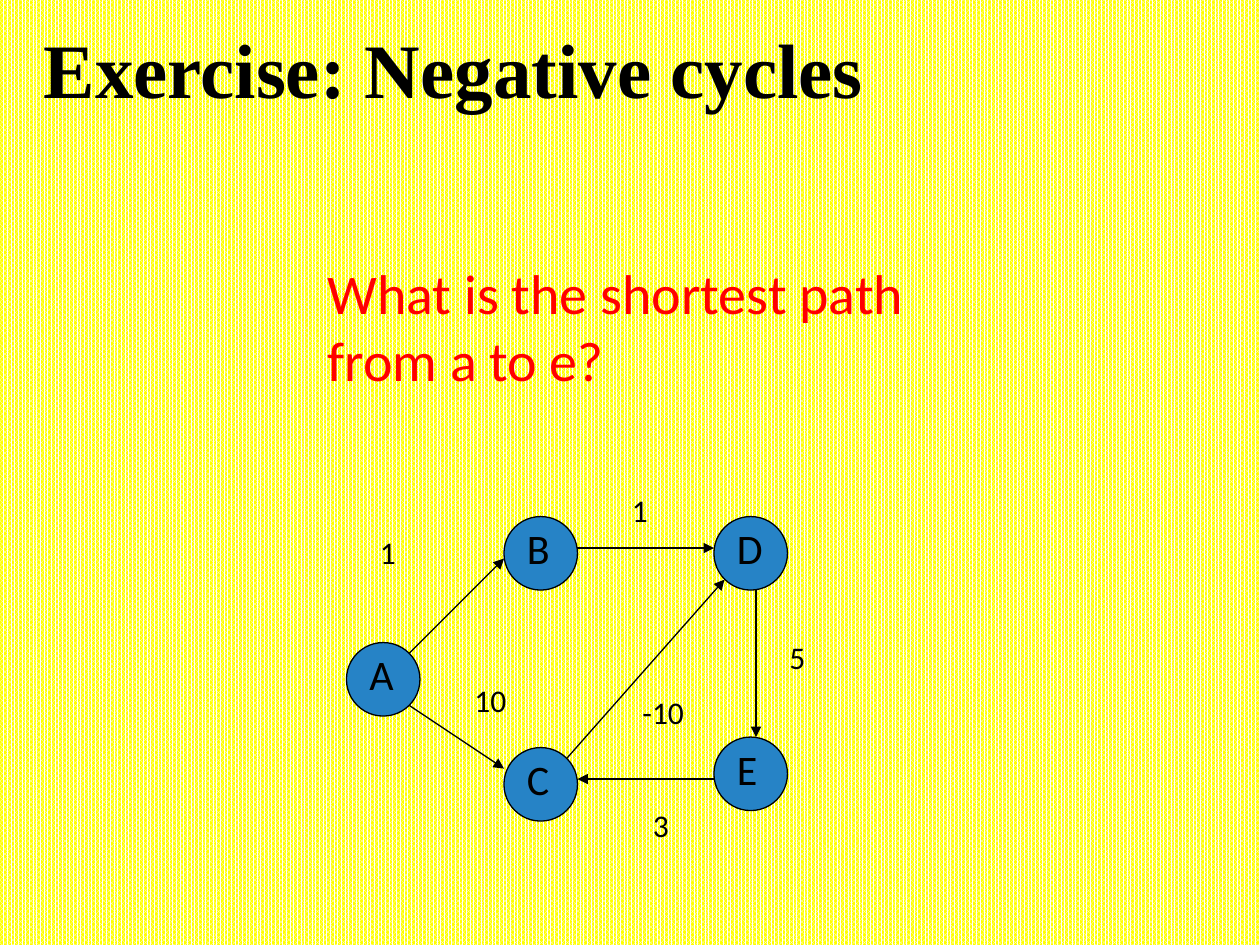
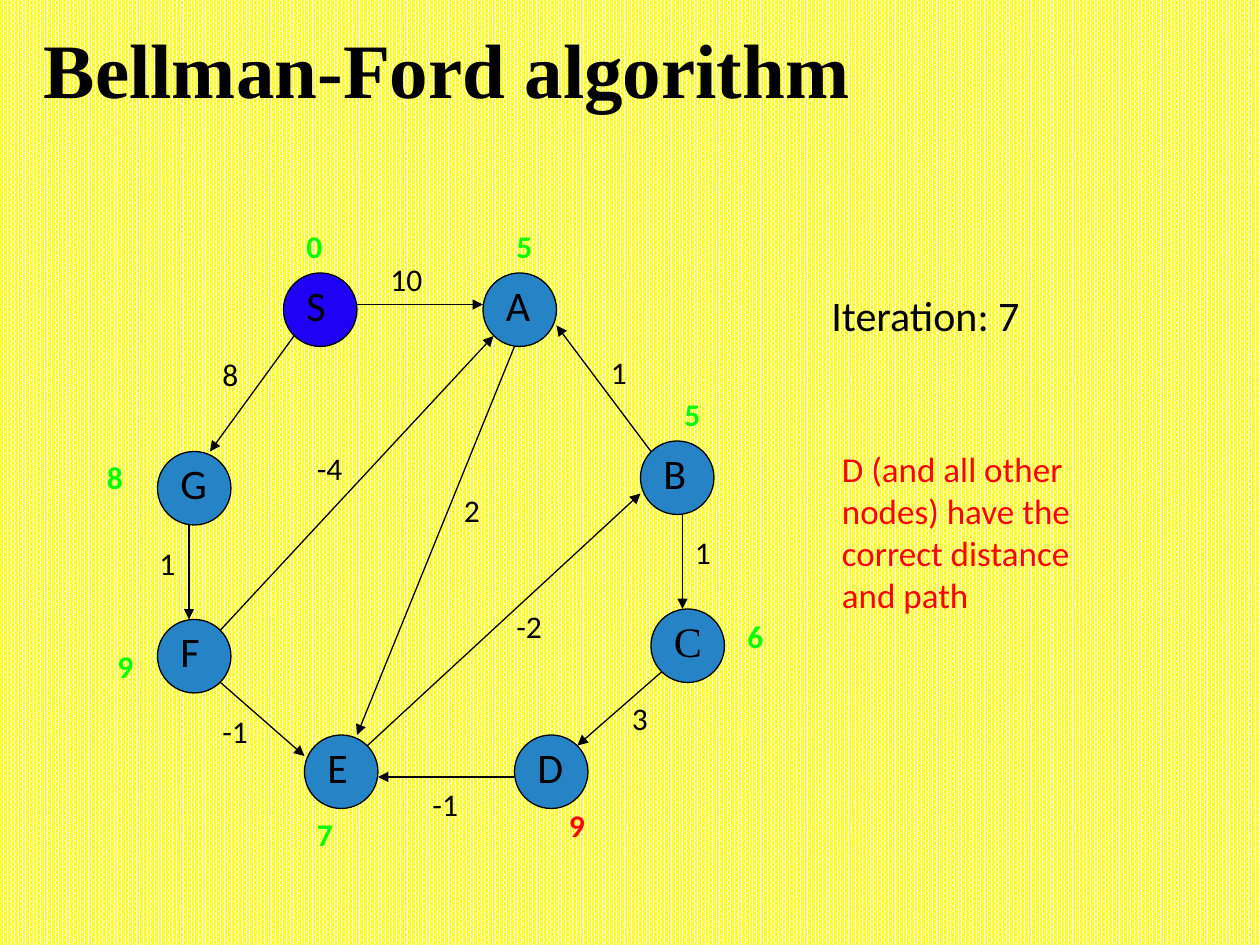
from dataclasses import dataclass

from lxml import etree
from pptx import Presentation
from pptx import util as u
from pptx.dml.color import RGBColor
from pptx.enum import dml, shapes, text
from pptx.oxml.ns import qn


@dataclass(frozen=True)
class Theme:
    ink: str = "000000"
    paper: str = "FFFF00"
    weave: str = "FFFFFF"
    node: str = "2683C6"
    source: str = "1F02F6"
    settled: str = "00FF00"
    alert: str = "FF0000"
    body: str = "Calibri"
    heading: str = "Times New Roman"
    title_size: int = 44
    question_size: int = 32
    node_size: int = 24
    note_size: int = 20
    label_size: int = 18
    line_width: float = 0.75


THEME = Theme()
CELL = u.Inches(1) / 12   # the slide is a grid of 120 columns by 90 rows
COLUMNS, ROWS = 120, 90
NODE = 7                  # node diameter in cells
LETTER = 6                # side of the box for a node's letter
LABEL_ROWS = 4.8


def cells(*counts):
    return [round(count * CELL) for count in counts]


def rgb(value):
    return RGBColor.from_string(value)


def add_text(parent, box, words, size, color=THEME.ink, font=THEME.body, bold=False):
    """Write one left-aligned paragraph in a box of (column, row, columns, rows)."""
    frame = parent.add_textbox(*cells(*box)).text_frame
    frame.word_wrap = True
    frame.auto_size = text.MSO_AUTO_SIZE.SHAPE_TO_FIT_TEXT
    frame.text = words
    style = frame.paragraphs[0].runs[0].font
    style.size, style.name, style.bold = u.Pt(size), font, bold
    style.color.rgb = rgb(color)
    return frame


def add_titled_slide(deck, title):
    slide = deck.slides.add_slide(deck.slide_layouts[6])
    # Woven background
    fill = slide.background.fill
    fill.patterned()
    fill.pattern = dml.MSO_PATTERN.PERCENT_80
    fill.fore_color.rgb = rgb(THEME.weave)
    fill.back_color.rgb = rgb(THEME.paper)
    # Title
    frame = add_text(slide.shapes, (3, 1.8, 113.2, 10.4), title,
                     THEME.title_size, font=THEME.heading, bold=True)
    frame.auto_size = text.MSO_AUTO_SIZE.NONE
    frame.vertical_anchor = text.MSO_ANCHOR.MIDDLE
    frame.paragraphs[0].line_spacing = 0.9
    return slide


def add_node(slide, column, row, letter, color, font):
    group = slide.shapes.add_group_shape().shapes
    circle = group.add_shape(shapes.MSO_SHAPE.OVAL, *cells(column, row, NODE, NODE))
    circle.shadow.inherit = False
    circle.fill.solid()
    circle.fill.fore_color.rgb = rgb(color)
    circle.line.color.rgb = rgb(THEME.ink)
    circle.line.width = u.Pt(THEME.line_width)
    add_text(group, (column + 1, row, LETTER, LETTER), letter, THEME.node_size, font=font)


def add_arrow(slide, start, end):
    arrow = slide.shapes.add_connector(shapes.MSO_CONNECTOR.STRAIGHT, *cells(*start, *end))
    arrow.line.color.rgb = rgb(THEME.ink)
    arrow.line.width = u.Pt(THEME.line_width)
    properties = arrow._element.spPr
    etree.SubElement(properties.find(qn("a:ln")), qn("a:tailEnd"), type="triangle")
    etree.SubElement(properties, qn("a:effectLst"))


def add_graph(slide, origin, nodes, edges, label_columns, colors=None, fonts=None):
    """Draw a weighted directed graph whose places count in cells from origin.

    Each edge is (tail, exit, head, entry, weight, weight place); exit and
    entry count from the top left of their own node.
    """
    colors, fonts = colors or {}, fonts or {}

    def place(point, base=(0, 0)):
        return tuple(map(sum, zip(origin, base, point)))

    for letter, corner in nodes.items():
        add_node(slide, *place(corner), letter,
                 colors.get(letter, THEME.node), fonts.get(letter, THEME.body))
    for tail, leave, head, enter, weight, spot in edges:
        add_arrow(slide, place(leave, nodes[tail]), place(enter, nodes[head]))
        add_text(slide.shapes, (*place(spot), label_columns, LABEL_ROWS),
                 weight, THEME.label_size)


def add_distances(slide, origin, nodes, distances):
    """Write each node's current distance beside it."""
    for letter, (distance, offset, color) in distances.items():
        column, row = map(sum, zip(origin, nodes[letter], offset))
        add_text(slide.shapes, (column, row, 6, LABEL_ROWS), distance,
                 THEME.label_size, color, bold=True)


def build_exercise(deck):
    slide = add_titled_slide(deck, "Exercise: Negative cycles")
    nodes = {"A": (0, 12), "B": (15, 0), "C": (15, 22), "E": (35, 21), "D": (35, 0)}
    edges = [
        ("A", (6, 1), "B", (0, 4), "1", (2, 1)),
        ("A", (6, 6), "C", (0, 2), "10", (11, 15.1)),
        ("B", (7, 3), "D", (0, 3), "1", (26, -3)),
        ("C", (6, 1), "D", (1, 6), "-10", (27, 16.2)),
        ("D", (4, 7), "E", (4, 0), "5", (41, 11)),
        ("E", (0, 4), "C", (7, 3), "3", (28, 27)),
    ]
    add_graph(slide, (33, 49.2), nodes, edges, label_columns=9)
    # Question
    add_text(slide.shapes, (30, 24, 68, 14), "What is the shortest path from a to e?",
             THEME.question_size, THEME.alert)


def build_bellman_ford(deck):
    slide = add_titled_slide(deck, "Bellman-Ford algorithm")
    origin = (15, 26)
    nodes = {"G": (0, 17), "S": (12, 0), "F": (0, 33), "E": (14, 44),
             "A": (31, 0), "D": (34, 44), "B": (46, 16), "C": (47, 32)}
    edges = [
        ("S", (7, 3), "A", (0, 3), "10", (21, -1.8)),
        ("B", (1, 1), "A", (7, 5), "1", (42, 7)),
        ("B", (4, 7), "C", (3, 0), "1", (50, 24.2)),
        ("C", (1, 6), "D", (6, 1), "3", (44, 40)),
        ("D", (0, 4), "E", (7, 4), "-1", (25, 48.2)),
        ("F", (6, 6), "E", (0, 2), "-1", (5, 41.2)),
        ("G", (3, 7), "F", (3, 0), "1", (-1, 25.2)),
        ("S", (1, 6), "G", (5, 0), "8", (5, 7.2)),
        ("F", (6, 1), "A", (1, 6), "-4", (14, 16.2)),
        ("A", (3, 7), "E", (5, 0), "2", (28, 20.2)),
        ("E", (6, 1), "B", (0, 5), "-2", (33, 31.2)),
    ]
    add_graph(slide, origin, nodes, edges, label_columns=6,
              colors={"S": THEME.source}, fonts={"C": THEME.heading})
    add_distances(slide, origin, nodes, {
        "S": ("0", (1, -5), THEME.settled),
        "A": ("5", (2, -5), THEME.settled),
        "B": ("5", (3, -5), THEME.settled),
        "C": ("6", (8, 0.2), THEME.settled),
        "D": ("9", (4, 6.2), THEME.alert),
        "E": ("7", (0, 7), THEME.settled),
        "F": ("9", (-5, 2), THEME.settled),
        "G": ("8", (-6, 0), THEME.settled),
    })
    # Iteration and remark
    add_text(slide.shapes, (78, 27, 28, 6), "Iteration: 7", THEME.node_size)
    add_text(slide.shapes, (79, 42, 29, 17.2),
             "D (and all other nodes) have the correct distance and path",
             THEME.note_size, THEME.alert)


def main():
    deck = Presentation()
    deck.slide_width, deck.slide_height = cells(COLUMNS, ROWS)
    build_exercise(deck)
    build_bellman_ford(deck)
    deck.save("out.pptx")


if __name__ == "__main__":
    main()
